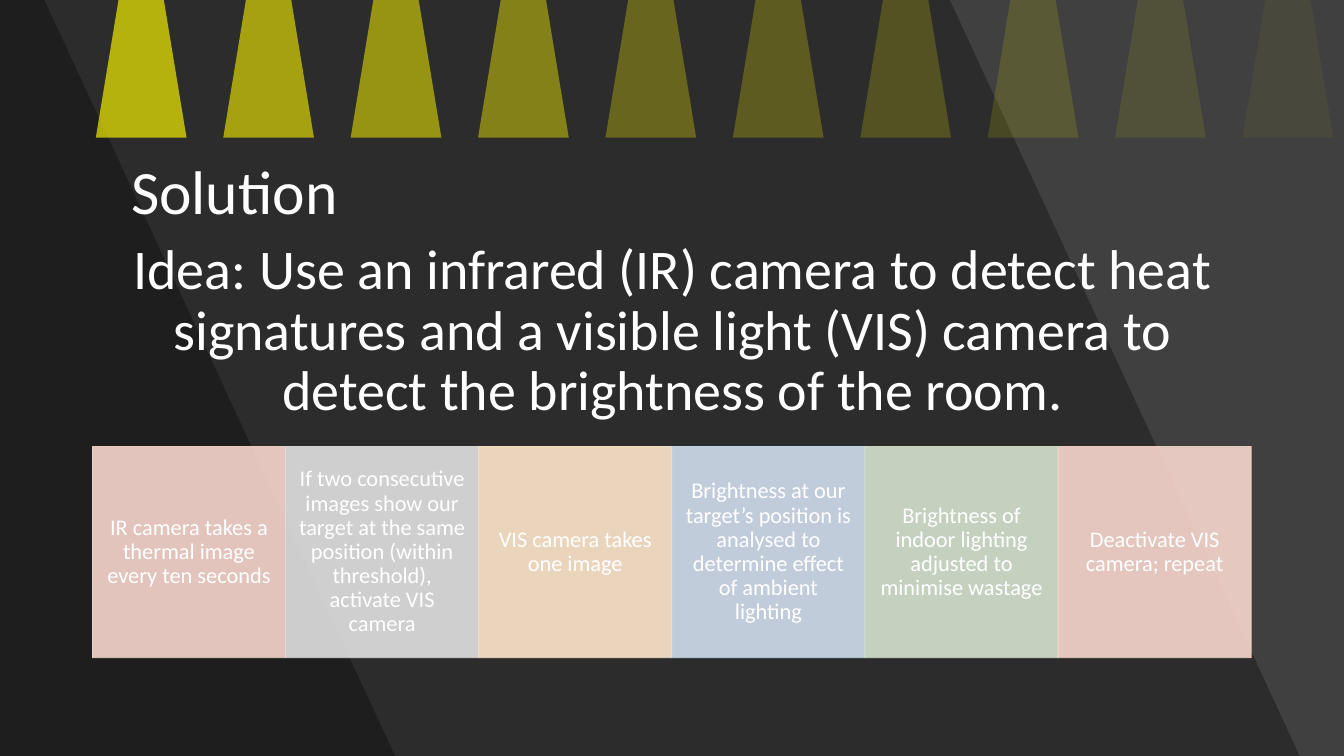
from pptx import Presentation
from pptx.dml.color import RGBColor as Rgb
from pptx.enum.shapes import MSO_SHAPE as Form
from pptx.enum.text import MSO_ANCHOR as Anchor, MSO_AUTO_SIZE as Fit, PP_ALIGN as Align
from pptx.oxml.ns import qn
from pptx.util import Inches, Pt
from lxml.etree import SubElement as Sub

WIDE, HIGH = Inches(13.33), Inches(7.5)

HUES = {
    "back": "404040", "shade": "000000", "beam": "F0EA00", "text": "FFFFFF",
    "rose": "F8D7CE", "grey": "E1E1E1", "sand": "FFE8CC", "blue": "D2DEEF",
    "green": "D5E3CF",
}

STEPS = [
    ("rose", "IR camera takes a thermal image every ten seconds"),
    ("grey", "If two consecutive images show our target at the same position "
             "(within threshold), activate VIS camera"),
    ("sand", "VIS camera takes one image"),
    ("blue", "Brightness at our target’s position is analysed to determine "
             "effect of ambient lighting"),
    ("green", "Brightness of indoor lighting adjusted to minimise wastage"),
    ("rose", "Deactivate VIS camera; repeat"),
]
IDEA = ("Idea: Use an infrared (IR) camera to detect heat signatures and a "
        "visible light (VIS) camera to detect the brightness of the room.")
BEAMS = [70, 62, 55, 45, 30, 25, 20, 15, 10, 5]  # opacity, left to right


def across(share):
    """Percent of the slide's width."""
    return round(WIDE * share / 100)


def down(share):
    """Percent of the slide's height."""
    return round(HIGH * share / 100)


def area(x, y, w, h):
    return across(x), down(y), across(w), down(h)


def hue(name):
    return Rgb.from_string(HUES[name])


def apply(item, form):
    for key, value in form.items():
        setattr(item, key, value)


def paint(shape, name, alpha, edge=None):
    """Translucent fill, with a matching outline if an edge width is given."""
    shape.shadow.inherit = False
    shape.fill.solid()
    shape.fill.fore_color.rgb = hue(name)
    if edge:
        shape.line.color.rgb = hue(name)
        shape.line.width = Pt(edge)
    else:
        shape.line.fill.background()
    for tone in shape._element.spPr.iter(qn("a:srgbClr")):
        Sub(tone, qn("a:alpha"), val=str(alpha * 1000))


def write(shape, text, size, align, inset=(0.1, 0.05)):
    side, top = map(Inches, inset)
    frame = shape.text_frame
    apply(frame, {
        "text": text, "word_wrap": True, "auto_size": Fit.NONE,
        "vertical_anchor": Anchor.MIDDLE, "margin_left": side,
        "margin_right": side, "margin_top": top, "margin_bottom": top,
    })
    para = frame.paragraphs[0]
    apply(para, {"alignment": align, "line_spacing": 0.9, "space_before": Pt(0)})
    apply(para.runs[0].font, {"name": "Calibri", "size": Pt(size)})
    para.runs[0].font.color.rgb = hue("text")
    return para


def place(slide, holder, spot):
    """Move a placeholder to its spot, in front of what is drawn so far."""
    apply(holder, dict(zip(("left", "top", "width", "height"), area(*spot))))
    slide.shapes._spTree.append(holder._element)


def wedge(slide, top, foot):
    """Dark band from the left edge to a slanted right side."""
    pen = slide.shapes.build_freeform(0, 0)
    pen.add_line_segments([(across(top), 0), (across(foot), HIGH), (0, HIGH)])
    paint(pen.convert_to_shape(), "shade", 30)


def step(slide, col, name, text):
    spot = area(6.88 + 14.37 * col, 59.07, 14.37, 27.93)
    tile = slide.shapes.add_shape(Form.RECTANGLE, *spot)
    paint(tile, name, 90, edge=0.5)
    write(tile, text, 16, Align.CENTER, (0.12, 0.02))


def beam(slide, col, alpha):
    spot = area(7.13 + 9.48 * col, 0, 6.75, 18.2)
    paint(slide.shapes.add_shape(Form.TRAPEZOID, *spot), "beam", alpha)


def main():
    deck = Presentation()
    apply(deck, {"slide_width": WIDE, "slide_height": HIGH})
    slide = deck.slides.add_slide(deck.slide_layouts[1])
    title, body = slide.placeholders

    # Background
    slide.background.fill.solid()
    slide.background.fill.fore_color.rgb = hue("back")
    wedge(slide, 70.67, 96.7)
    wedge(slide, 3.3, 29.4)

    # Title and idea
    place(slide, title, (9, 16.13, 86.35, 19.33))
    write(title, "Solution", 44, Align.LEFT)
    place(slide, body, (6.9, 27.6, 86.27, 32.67))
    para = write(body, IDEA, 40, Align.CENTER, (0.31, 0.31))
    props = para._p.get_or_add_pPr()
    for key in ("marL", "indent"):
        props.set(key, "0")
    Sub(props, qn("a:buNone"))

    # Process steps
    for col, (name, text) in enumerate(STEPS):
        step(slide, col, name, text)

    # Fading beams
    for col, alpha in enumerate(BEAMS):
        beam(slide, col, alpha)

    deck.save("out.pptx")


if __name__ == "__main__":
    main()
